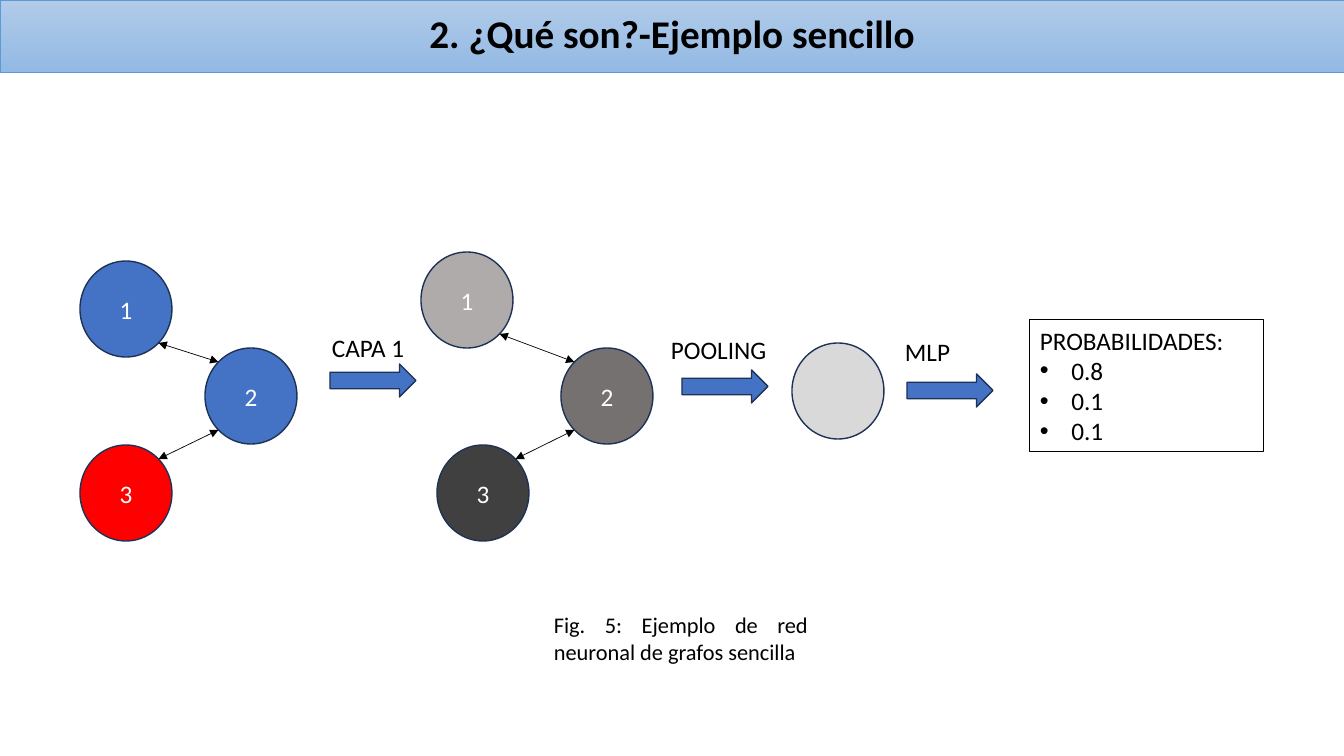
from lxml import etree
from pptx import Presentation
from pptx import util as u
from pptx.dml.color import RGBColor
from pptx.enum import shapes, text
from pptx.oxml.ns import qn

FONT = "Calibri"
BLACK = "000000"
WHITE = "FFFFFF"
BLUE = "4472C4"
OUTLINE = "1E3256"
NODE_W, NODE_H = 92, 96
DIAGONAL = 0.5 ** 0.5


def px(length):
    return u.Emu(round(length * u.Inches(1) / 100.8))


def color(value):
    return RGBColor.from_string(value)


def add_line(line, value, width):
    line.color.rgb = color(value)
    line.width = u.Pt(width)


def add_run(paragraph, words, size, value=BLACK, bold=False):
    run = paragraph.add_run()
    run.text = words
    run.font.name = FONT
    run.font.size = u.Pt(size)
    run.font.bold = bold
    run.font.color.rgb = color(value)


def add_preset(slide, kind, box, fill=None, line=OUTLINE, width=1):
    preset = slide.shapes.add_shape(kind, *map(px, box))
    preset.shadow.inherit = False
    if fill:
        preset.fill.solid()
        preset.fill.fore_color.rgb = color(fill)
    add_line(preset.line, line, width)
    return preset


def add_title(slide, words):
    banner = add_preset(slide, shapes.MSO_SHAPE.RECTANGLE, (0, 0, 1344, 72), line="5B9BD5", width=0.5)
    banner.fill.gradient()
    banner.fill.gradient_angle = 270
    for stop, value in zip(banner.fill.gradient_stops, ("B1CBE9", "93B9E4")):
        stop.color.rgb = color(value)
    banner.text_frame.vertical_anchor = text.MSO_ANCHOR.MIDDLE
    heading = banner.text_frame.paragraphs[0]
    heading.alignment = text.PP_ALIGN.CENTER
    heading.line_spacing = 0.9
    add_run(heading, words, 28, bold=True)


def add_node(slide, left, top, fill, number=""):
    node = add_preset(slide, shapes.MSO_SHAPE.OVAL, (left, top, NODE_W, NODE_H), fill)
    if number:
        node.text_frame.vertical_anchor = text.MSO_ANCHOR.MIDDLE
        label = node.text_frame.paragraphs[0]
        label.alignment = text.PP_ALIGN.CENTER
        add_run(label, number, 18, WHITE)


def rim_point(node, right, down):
    left, top, _ = node
    return (px(left + NODE_W / 2 * (1 + right * DIAGONAL)),
            px(top + NODE_H / 2 * (1 + down * DIAGONAL)))


def add_edge(slide, start, end):
    edge = slide.shapes.add_connector(shapes.MSO_CONNECTOR.STRAIGHT, *start, *end)
    add_line(edge.line, BLACK, 0.5)
    outline = edge.line._get_or_add_ln()
    for tip in ("a:headEnd", "a:tailEnd"):
        etree.SubElement(outline, qn(tip), type="triangle")
    etree.SubElement(edge._element.spPr, qn("a:effectLst"))


def add_graph(slide, first, second, third):
    for number, node in enumerate((first, second, third), 1):
        add_node(slide, *node, str(number))
    add_edge(slide, rim_point(first, 1, 1), rim_point(second, -1, -1))
    add_edge(slide, rim_point(third, 1, -1), rim_point(second, -1, 1))


def add_text(slide, box, lines, size=18):
    holder = slide.shapes.add_textbox(*map(px, box))
    holder.text_frame.word_wrap = True
    for index, words in enumerate(lines):
        frame = holder.text_frame
        paragraph = frame.add_paragraph() if index else frame.paragraphs[0]
        add_run(paragraph, words, size)
    return holder


def add_step(slide, words, label_box, arrow_left, arrow_top):
    add_preset(slide, shapes.MSO_SHAPE.RIGHT_ARROW, (arrow_left, arrow_top, 86, 33), BLUE)
    add_text(slide, label_box, [words])


def add_probabilities(slide):
    result = add_text(slide, (1030, 320, 234, 132), ["PROBABILIDADES:", "0.8", "0.1", "0.1"])
    add_line(result.line, BLACK, 0.75)
    for value in result.text_frame.paragraphs[1:]:
        properties = value._p.get_or_add_pPr()
        properties.set("marL", "285750")
        properties.set("indent", "-285750")
        etree.SubElement(properties, qn("a:buFont"), typeface="Arial")
        etree.SubElement(properties, qn("a:buChar"), char="•")


def main():
    deck = Presentation()
    deck.slide_width, deck.slide_height = px(1344), px(756)
    slide = deck.slides.add_slide(deck.slide_layouts[6])

    add_title(slide, "2. ¿Qué son?-Ejemplo sencillo")
    add_graph(slide, (80, 261, BLUE), (205, 348, BLUE), (80, 445, "FF0000"))
    add_step(slide, "CAPA 1", (322, 327, 94, 40), 330, 364)
    add_graph(slide, (421, 252, "AFABAB"), (561, 348, "767171"), (437, 445, "404040"))
    add_step(slide, "POOLING", (661, 329, 122, 40), 682, 370)
    add_node(slide, 792, 343, "D9D9D9")
    add_step(slide, "MLP", (895, 331, 73, 40), 907, 374)
    add_probabilities(slide)
    caption = add_text(slide, (544, 606, 274, 64),
                       ["Fig. 5: Ejemplo de red neuronal de grafos sencilla"], 16)
    caption.text_frame.paragraphs[0].alignment = text.PP_ALIGN.JUSTIFY

    deck.save("out.pptx")


if __name__ == "__main__":
    main()
